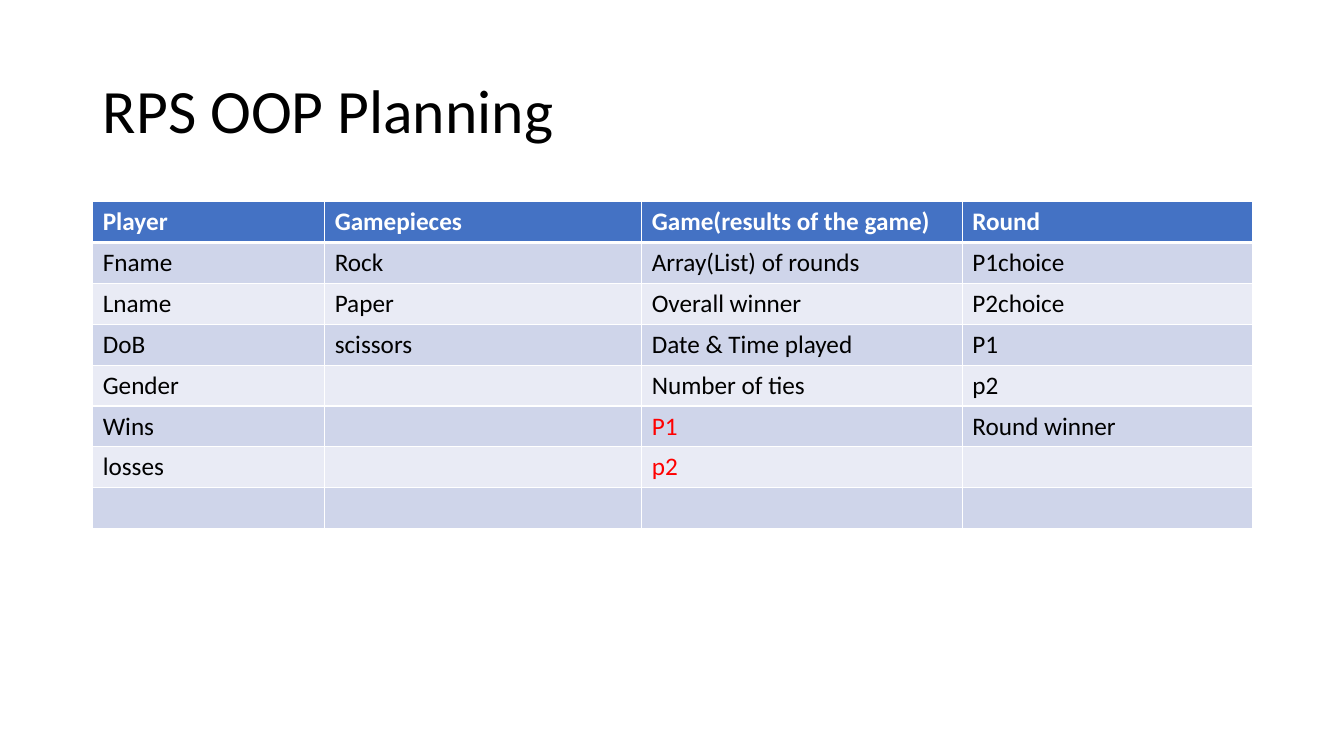
from lxml.etree import SubElement
from pptx import Presentation
from pptx.dml.color import RGBColor
from pptx.enum.text import MSO_ANCHOR, MSO_AUTO_SIZE, PP_ALIGN
from pptx.oxml.ns import qn
from pptx.util import Inches, Pt

COLORS = {
    "text": "000000",
    "white": "FFFFFF",
    "alert": "FF0000",
    "header": "4472C4",
    "odd_row": "CFD5EA",
    "even_row": "E9EBF5",
}
FONT = "Calibri"
SLIDE_WIDTH, SLIDE_HEIGHT = Inches(13.33), Inches(7.5)
MARGIN, CONTENT_WIDTH = Inches(0.92), Inches(11.5)
COLUMN_SHARES = (0.2, 0.2735, 0.2765, 0.25)
ROW_HEIGHT = Inches(0.405)

CLASSES = {
    "Player": ["Fname", "Lname", "DoB", "Gender", "Wins", "losses"],
    "Gamepieces": ["Rock", "Paper", "scissors"],
    "Game(results of the game)": ["Array(List) of rounds", "Overall winner",
                                  "Date & Time played", "Number of ties", "P1", "p2"],
    "Round": ["P1choice", "P2choice", "P1", "p2", "Round winner"],
}
ROW_COUNT = 8
ALERT_CELLS = {(5, 2), (6, 2)}


def color(name):
    return RGBColor.from_string(COLORS[name])


def format_runs(paragraph, size, color_name, bold=False):
    for run in paragraph.runs:
        run.font.name = FONT
        run.font.size = Pt(size)
        run.font.bold = bold
        run.font.color.rgb = color(color_name)


def add_borders(cell, widths):
    """Draw white borders; widths maps the sides L, R, T and B to points."""
    properties = cell._tc.get_or_add_tcPr()
    for side, width in widths.items():
        line = SubElement(properties, qn(f"a:ln{side}"), w=str(Pt(width)))
        fill = SubElement(line, qn("a:solidFill"))
        SubElement(fill, qn("a:srgbClr"), val=COLORS["white"])


def place_title(slide, text, left, top, width, height):
    title = slide.shapes.title
    title.left, title.top, title.width, title.height = left, top, width, height
    frame = title.text_frame
    frame.text = text
    frame.word_wrap = True
    frame.auto_size = MSO_AUTO_SIZE.NONE
    frame.vertical_anchor = MSO_ANCHOR.MIDDLE
    paragraph = frame.paragraphs[0]
    paragraph.alignment = PP_ALIGN.LEFT
    paragraph.line_spacing = 0.9
    format_runs(paragraph, 44, "text")


def format_cell(cell, text, row, column):
    is_header = row == 0
    add_borders(cell, {"L": 1, "R": 1, "T": 3 if row == 1 else 1, "B": 3 if is_header else 1})
    cell.fill.solid()
    cell.fill.fore_color.rgb = color("header" if is_header else "odd_row" if row % 2 else "even_row")
    cell.text_frame.text = text
    text_color = "white" if is_header else "alert" if (row, column) in ALERT_CELLS else "text"
    format_runs(cell.text_frame.paragraphs[0], 18, text_color, bold=is_header)


def add_class_table(slide, left, top, width):
    table = slide.shapes.add_table(ROW_COUNT, len(CLASSES), left, top, width,
                                   ROW_HEIGHT * ROW_COUNT).table
    for row in table.rows:
        row.height = ROW_HEIGHT
    for column, (name, members) in enumerate(CLASSES.items()):
        table.columns[column].width = int(width * COLUMN_SHARES[column])
        entries = [name, *members]
        for row in range(ROW_COUNT):
            text = entries[row] if row < len(entries) else ""
            format_cell(table.cell(row, column), text, row, column)


def main():
    presentation = Presentation()
    presentation.slide_width, presentation.slide_height = SLIDE_WIDTH, SLIDE_HEIGHT
    slide = presentation.slides.add_slide(presentation.slide_layouts.get_by_name("Title Only"))
    slide.background.fill.solid()
    slide.background.fill.fore_color.rgb = color("white")
    place_title(slide, "RPS OOP Planning", MARGIN, Inches(0.4), CONTENT_WIDTH, Inches(1.45))
    add_class_table(slide, MARGIN, Inches(2), CONTENT_WIDTH)
    presentation.save("out.pptx")


if __name__ == "__main__":
    main()
